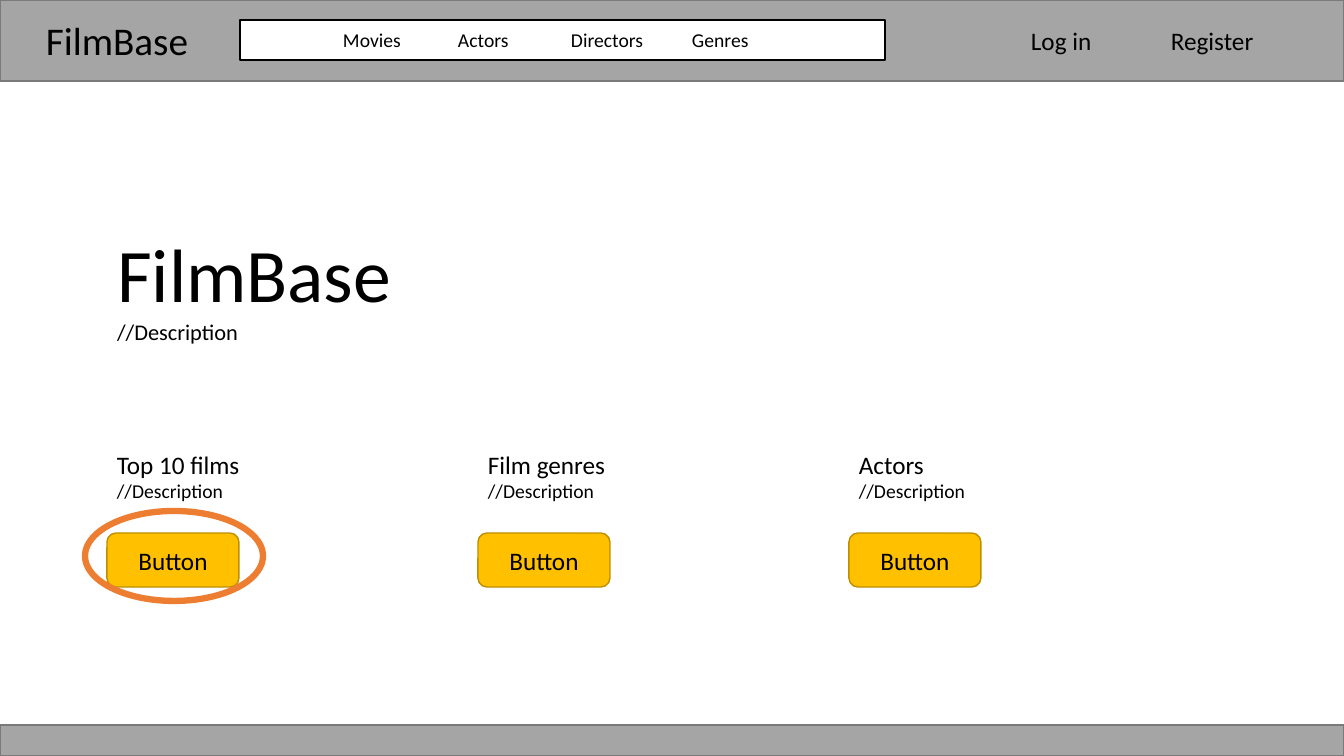
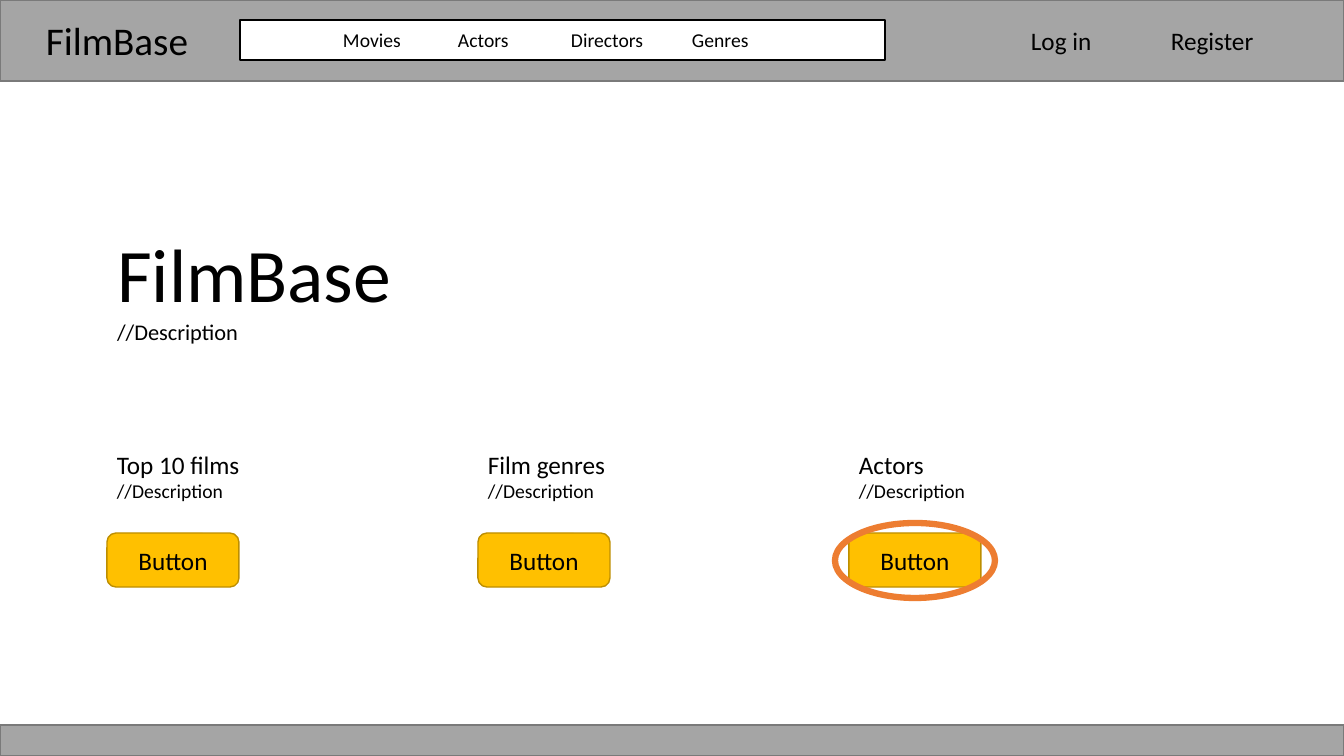
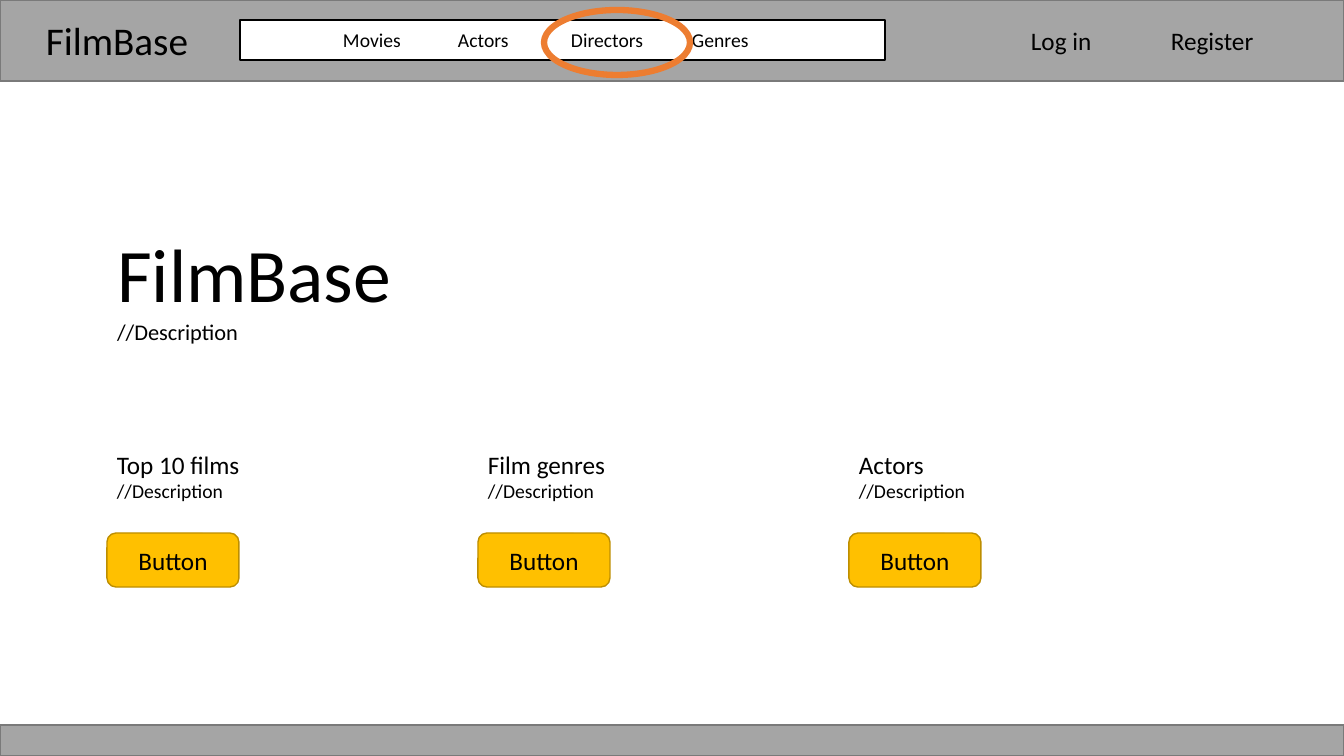
"""Builds three FilmBase wireframe screens, each with one control circled."""
from lxml.etree import SubElement
from pptx import Presentation
from pptx.dml.color import RGBColor
from pptx.enum.shapes import MSO_SHAPE
from pptx.enum.text import MSO_ANCHOR, MSO_AUTO_SIZE, PP_ALIGN
from pptx.oxml.ns import qn
from pptx.util import Pt

PX = 914400 / 100.8
WIDTH, HEIGHT = 1344, 756
FONT = "Calibri"
BLACK = RGBColor(0x00, 0x00, 0x00)
WHITE = RGBColor(0xFF, 0xFF, 0xFF)
GREY = RGBColor(0xA5, 0xA5, 0xA5)
GREY_EDGE = RGBColor(0x7A, 0x7A, 0x7A)
GOLD = RGBColor(0xFF, 0xC0, 0x00)
GOLD_EDGE = RGBColor(0xBD, 0x8E, 0x00)
ORANGE = RGBColor(0xED, 0x7D, 0x31)

BAND_HEIGHT, FOOTER_HEIGHT = 81, 31
BAND_LABELS = [
    ("FilmBase", 28, (36, 11, 173, 57)),
    ("Log in", 18, (1021, 20, 104, 40)),
    ("Register", 18, (1161, 20, 123, 40)),
]
MENU = ["Movies", "Actors", "Directors", "Genres"]
MENU_INDENT = 103
MENU_STOPS = [115, 228, 349]
SECTIONS = ["Top 10 films", "Film genres", "Actors"]
LEFT, SECTION_STEP = 107, 371
HIGHLIGHTS = [(85, 511, 178, 90), (835, 523, 160, 75), (544, 10, 146, 65)]


def emu(lengths):
    return [round(length * PX) for length in lengths]


def write(shape, lines, align=PP_ALIGN.LEFT, anchor=MSO_ANCHOR.TOP):
    frame = shape.text_frame
    frame.word_wrap = True
    frame.auto_size = MSO_AUTO_SIZE.NONE
    frame.vertical_anchor = anchor
    frame.text = "\n".join(text for text, size in lines)
    for paragraph, (text, size) in zip(frame.paragraphs, lines):
        paragraph.alignment = align
        for run in paragraph.runs:
            run.font.name = FONT
            run.font.size = Pt(size)
            run.font.color.rgb = BLACK


deck = Presentation()
deck.slide_width, deck.slide_height = emu((WIDTH, HEIGHT))

for highlight in HIGHLIGHTS:
    slide = deck.slides.add_slide(deck.slide_layouts[5])
    shapes = slide.shapes

    hero = shapes.title
    hero.left, hero.top, hero.width, hero.height = emu((LEFT, 222, 437, 129))
    write(hero, [("FilmBase", 54), ("//Description", 16)])

    panels = [
        (MSO_SHAPE.RECTANGLE, (0, 0, WIDTH, BAND_HEIGHT), GREY, GREY_EDGE, 1),
        (MSO_SHAPE.RECTANGLE, (0, HEIGHT - FOOTER_HEIGHT, WIDTH, FOOTER_HEIGHT), GREY, GREY_EDGE, 1),
    ]
    for column in range(len(SECTIONS)):
        place = (LEFT + column * SECTION_STEP, 533, 132, 54)
        panels.append((MSO_SHAPE.ROUNDED_RECTANGLE, place, GOLD, GOLD_EDGE, 1))
    panels.append((MSO_SHAPE.RECTANGLE, (240, 20, 645, 40), WHITE, BLACK, 1))
    panels.append((MSO_SHAPE.OVAL, highlight, None, ORANGE, 4.5))

    drawn = []
    for kind, place, fill, edge, weight in panels:
        panel = shapes.add_shape(kind, *emu(place))
        panel.shadow.inherit = False
        if fill is None:
            panel.fill.background()
        else:
            panel.fill.solid()
            panel.fill.fore_color.rgb = fill
        panel.line.color.rgb = edge
        panel.line.width = Pt(weight)
        drawn.append(panel)
    header, footer, *buttons, menu_bar, ring = drawn

    for button in buttons:
        write(button, [("Button", 18)], PP_ALIGN.CENTER, MSO_ANCHOR.MIDDLE)

    write(menu_bar, [("\t".join(MENU), 14)], anchor=MSO_ANCHOR.MIDDLE)
    menu_bar.text_frame.margin_left = emu([MENU_INDENT])[0]
    properties = menu_bar.text_frame.paragraphs[0]._p.get_or_add_pPr()
    stops = SubElement(properties, qn("a:tabLst"))
    for position in emu(MENU_STOPS):
        SubElement(stops, qn("a:tab"), pos=str(position), algn="l")

    for label, size, place in BAND_LABELS:
        write(shapes.add_textbox(*emu(place)), [(label, size)])

    for column, section in enumerate(SECTIONS):
        caption = shapes.add_textbox(*emu((LEFT + column * SECTION_STEP, 444, 265, 65)))
        write(caption, [(section, 18), ("//Description", 14)])

    shapes._spTree.append(ring._element)

deck.save("out.pptx")
